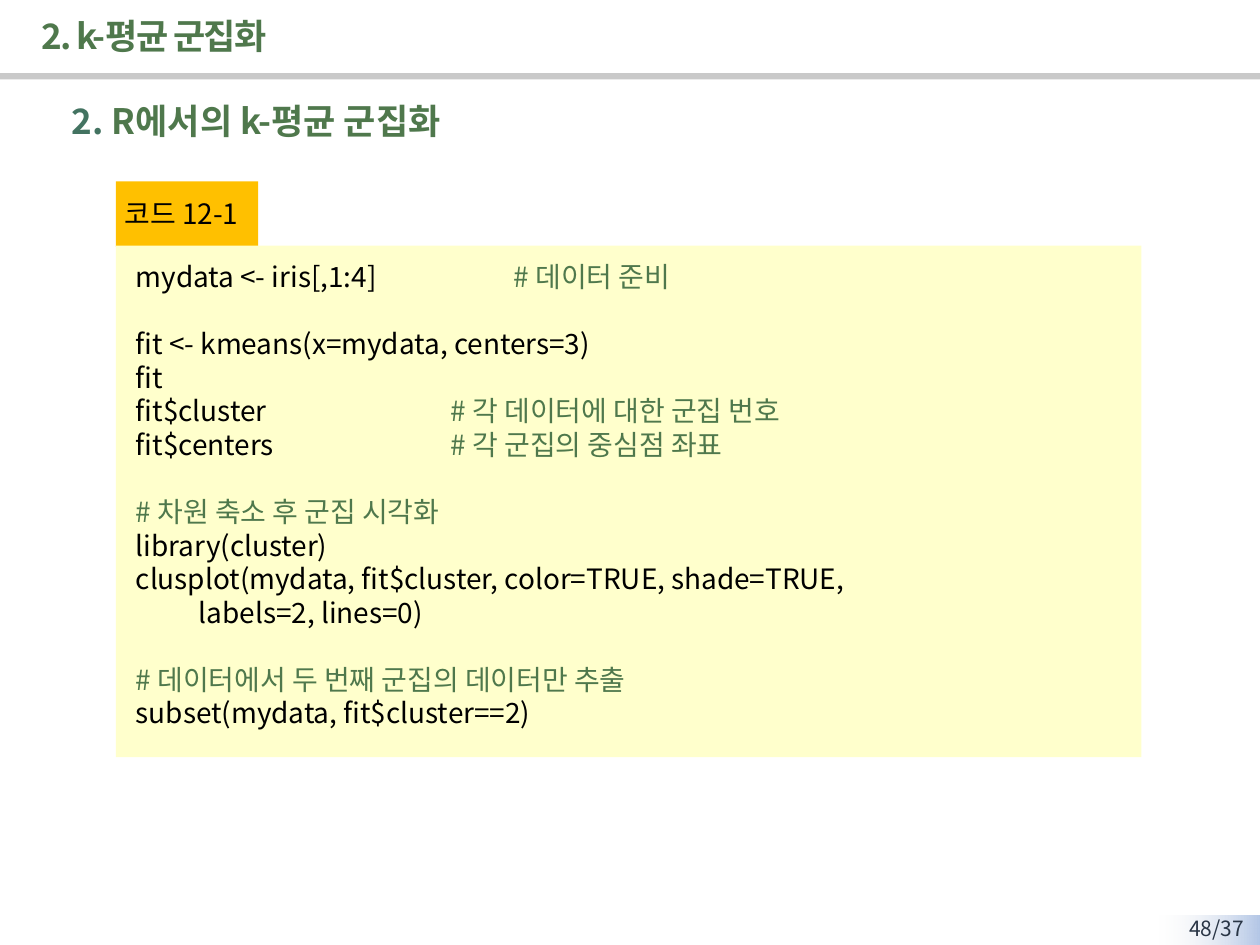
from lxml import etree
from pptx import Presentation
from pptx.dml.color import RGBColor
from pptx.enum.shapes import MSO_SHAPE as Shape
from pptx.enum.text import MSO_ANCHOR as Anchor, PP_ALIGN as Align
from pptx.oxml.ns import qn
from pptx.util import Inches, Pt

FONT = "Noto Sans CJK KR"
BLACK, GREEN, TEAL = "000000", "4F784C", "437361"
CODE_SIZE = 16
LINE_HEIGHT = 1.2  # line pitch as a multiple of the text size
HEADING_HEIGHT = 1.08

# Each block is a list of lines; each line is a list of (text, color) runs
CODE_BLOCKS = [
    [[("mydata <- iris[,1:4] \t\t\t", BLACK), ("# 데이터 준비", GREEN)]],
    [
        [("fit <- kmeans(x=mydata, centers=3)", BLACK)],
        [("fit", BLACK)],
        [("fit$cluster \t\t\t", BLACK), ("# 각 데이터에 대한 군집 번호", GREEN)],
        [("fit$centers \t\t\t", BLACK), ("# 각 군집의 중심점 좌표", GREEN)],
    ],
    [
        [("# 차원 축소 후 군집 시각화", GREEN)],
        [("library(cluster)", BLACK)],
        [("clusplot(mydata, fit$cluster, color=TRUE, shade=TRUE,", BLACK)],
        [(" \tlabels=2, lines=0)", BLACK)],
    ],
    [
        [("# 데이터에서 두 번째 군집의 데이터만 추출", GREEN)],
        [("subset(mydata, fit$cluster==2)", BLACK)],
    ],
]


def rgb(color):
    return RGBColor.from_string(color)


def add_rectangle(slide, left, top, width, height, color=None):
    shape = slide.shapes.add_shape(
        Shape.RECTANGLE, Inches(left), Inches(top), Inches(width), Inches(height))
    shape.shadow.inherit = False
    shape.line.fill.background()
    if color:
        shape.fill.solid()
        shape.fill.fore_color.rgb = rgb(color)
    return shape


def add_fading_rectangle(slide, left, top, width, height, color, end_color):
    """Rectangle that fades from color at the right to clear at the left."""
    shape = add_rectangle(slide, left, top, width, height)
    shape.fill.gradient()
    shape.fill.gradient_angle = 180
    for stop, stop_color in zip(shape.fill.gradient_stops, (color, end_color)):
        stop.color.rgb = rgb(stop_color)
    last_color = list(shape.fill._fill._gradFill.iter(qn("a:srgbClr")))[-1]
    etree.SubElement(last_color, qn("a:alpha"), val="0")


def add_text_box(slide, left, top, width, height, anchor=Anchor.TOP, wrap=True):
    box = slide.shapes.add_textbox(
        Inches(left), Inches(top), Inches(width), Inches(height))
    box.text_frame.word_wrap = wrap
    box.text_frame.vertical_anchor = anchor
    return box.text_frame


def fill_paragraph(paragraph, runs, size, bold=False, line_height=LINE_HEIGHT,
                   spacing=None):
    paragraph.line_spacing = Pt(size * line_height)
    for text, color in runs:
        run = paragraph.add_run()
        run.text = text
        run.font.name = FONT
        run.font.size = Pt(size)
        run.font.bold = bold
        run.font.color.rgb = rgb(color)
        properties = run.font._element
        etree.SubElement(properties, qn("a:ea"), typeface=FONT)
        if spacing:
            properties.set("spc", str(spacing * 100))


def add_code(slide, left, top, width, height):
    frame = add_text_box(slide, left, top, width, height)
    paragraph = frame.paragraphs[0]
    for block_index, block in enumerate(CODE_BLOCKS):
        for line_index, runs in enumerate(block):
            if block_index or line_index:
                paragraph = frame.add_paragraph()
            # One line of space between blocks
            if block_index and line_index == 0:
                paragraph.space_before = Pt(CODE_SIZE * LINE_HEIGHT)
            fill_paragraph(paragraph, runs, CODE_SIZE)


def main():
    presentation = Presentation()
    presentation.slide_width = Inches(10)
    presentation.slide_height = Inches(7.5)
    slide = presentation.slides.add_slide(presentation.slide_layouts[6])

    # Page number
    add_fading_rectangle(slide, 9.2, 7.27, 0.8, 0.24, "B4C7E7", "F2F2F2")
    page_number = add_text_box(slide, 9.05, 7.22, 0.92, 0.23).paragraphs[0]
    page_number.alignment = Align.RIGHT
    fill_paragraph(page_number, [("48/37", "293545")], 12)

    # Title and rule
    add_rectangle(slide, 0, 0.58, 10, 0.05, "C9C9C9")
    title = add_text_box(slide, 0.23, 0.04, 8.51, 0.52, Anchor.MIDDLE)
    fill_paragraph(title.paragraphs[0], [("2. k-평균 군집화", GREEN)], 20,
                   bold=True, line_height=HEADING_HEIGHT, spacing=-1)

    # Section heading
    heading = add_text_box(slide, 0.47, 0.77, 9.35, 0.52)
    fill_paragraph(heading.paragraphs[0],
                   [("2. ", TEAL), ("R에서의 k-평균 군집화", GREEN)], 20,
                   bold=True, line_height=HEADING_HEIGHT)

    # Code panel with its label
    add_rectangle(slide, 0.92, 1.44, 1.13, 0.52, "FFC000")
    add_rectangle(slide, 0.92, 1.95, 8.14, 4.06, "FFFFCC")
    label = add_text_box(slide, 0.89, 1.51, 1.2, 0.37, Anchor.MIDDLE, wrap=False)
    fill_paragraph(label.paragraphs[0], [("코드 12-1", BLACK)], CODE_SIZE)
    add_code(slide, 0.98, 2.01, 7.76, 3.87)

    presentation.save("out.pptx")


if __name__ == "__main__":
    main()
